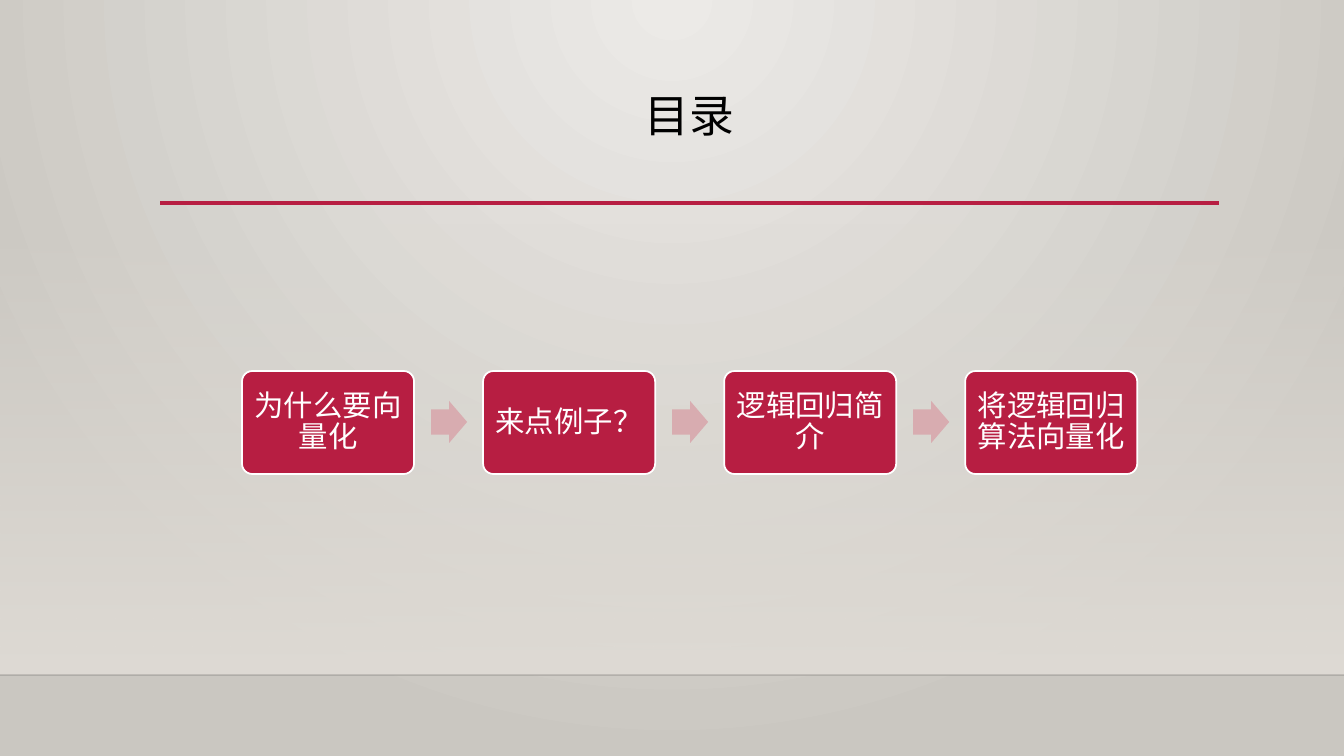
import dataclasses

import lxml.etree
import pptx
import pptx.dml.color
import pptx.enum.shapes
import pptx.enum.text
import pptx.oxml
import pptx.oxml.ns
import pptx.util

qn = pptx.oxml.ns.qn
Shape = pptx.enum.shapes.MSO_SHAPE
Align = pptx.enum.text.PP_ALIGN
Anchor = pptx.enum.text.MSO_ANCHOR


@dataclasses.dataclass(frozen=True)
class Theme:
    font: str = "Cabin"
    title_size: int = 32
    step_size: int = 21
    glow: str = "ECEAE7"
    edge: str = "CAC7C1"
    wall: str = "DFDBD5"
    floor_edge: str = "000001"
    accent: str = "B71E42"
    arrow: str = "D8ACB0"
    ink: str = "000000"
    paper: str = "FFFFFF"


def px(length):
    return pptx.util.Emu(round(length * 914400 / 100.8))


def rgb(code):
    return pptx.dml.color.RGBColor.from_string(code)


def apply(target, formats):
    for name, value in formats.items():
        setattr(target, name, value)


def set_alpha(color_element, percent):
    alpha = lxml.etree.SubElement(color_element, qn("a:alpha"))
    alpha.set("val", str(percent * 1000))


class Deck:
    def __init__(self, theme):
        self.theme = theme
        self.presentation = pptx.Presentation()
        apply(self.presentation, {
            "slide_width": pptx.util.Inches(13.33),
            "slide_height": pptx.util.Inches(7.5),
        })
        self.slide = self.presentation.slides.add_slide(
            self.presentation.slide_layouts[5])

    def gradient(self, fill, colors):
        fill.gradient()
        for stop, color, position in zip(fill.gradient_stops, colors, (0, 1)):
            stop.color.rgb = rgb(color)
            stop.position = position

    def backdrop(self):
        self.gradient(self.slide.background.fill,
                      (self.theme.glow, self.theme.edge))
        linear = next(self.slide._element.iter(qn("a:lin")))
        radial = pptx.oxml.parse_xml(
            f'<a:path {pptx.oxml.ns.nsdecls("a")} path="circle">'
            '<a:fillToRect l="43000" t="0" r="43000" b="100000"/></a:path>')
        linear.getparent().replace(linear, radial)

    def shape(self, kind, box, adjustments=()):
        shape = self.slide.shapes.add_shape(kind, *map(px, box))
        shape.shadow.inherit = False
        for index, value in enumerate(adjustments):
            shape.adjustments[index] = value
        shape.line.fill.background()
        return shape

    def solid(self, kind, box, color, adjustments=()):
        shape = self.shape(kind, box, adjustments)
        shape.fill.solid()
        shape.fill.fore_color.rgb = rgb(color)
        return shape

    def fading_wall(self, box):
        wall = self.shape(Shape.RECTANGLE, box)
        self.gradient(wall.fill, (self.theme.wall, self.theme.wall))
        wall.fill.gradient_angle = 270
        set_alpha(next(wall._element.iter(qn("a:srgbClr"))), 0)

    def rule(self, left, right, y, color, weight, opacity=100):
        rule = self.slide.shapes.add_connector(
            pptx.enum.shapes.MSO_CONNECTOR.STRAIGHT,
            px(left), px(y), px(right), px(y))
        rule.line.color.rgb = rgb(color)
        rule.line.width = pptx.util.Pt(weight)
        lxml.etree.SubElement(rule._element.spPr, qn("a:effectLst"))
        if opacity < 100:
            set_alpha(next(rule._element.iter(qn("a:srgbClr"))), opacity)

    def label(self, shape, text, size, color, frame_formats, space_after=0):
        frame = shape.text_frame
        frame.text = text
        apply(frame, {"word_wrap": True, **frame_formats})
        paragraph = frame.paragraphs[0]
        apply(paragraph, {
            "alignment": Align.CENTER,
            "line_spacing": 0.9,
            "space_before": pptx.util.Pt(0),
            "space_after": pptx.util.Pt(space_after),
        })
        font = paragraph.runs[0].font
        apply(font, {"name": self.theme.font, "size": pptx.util.Pt(size)})
        font.color.rgb = rgb(color)

    def title(self, text, box):
        heading = self.slide.shapes.title
        apply(heading, dict(zip(("left", "top", "width", "height"),
                                map(px, box))))
        self.label(heading, text, self.theme.title_size, self.theme.ink, {
            "vertical_anchor": Anchor.TOP,
            "auto_size": pptx.enum.text.MSO_AUTO_SIZE.NONE,
        })

    def step(self, text, box):
        card = self.solid(Shape.ROUNDED_RECTANGLE, box, self.theme.accent, (0.1,))
        card.line.color.rgb = rgb(self.theme.paper)
        card.line.width = pptx.util.Pt(1.25)
        margins = dict.fromkeys(
            ("margin_left", "margin_top", "margin_right", "margin_bottom"), px(9))
        self.label(card, text, self.theme.step_size, self.theme.paper,
                   {"vertical_anchor": Anchor.MIDDLE, **margins}, space_after=7)

    def arrow(self, box):
        self.solid(Shape.RIGHT_ARROW, box, self.theme.arrow, (0.6, 0.5))


def main():
    theme = Theme()
    deck = Deck(theme)
    deck.backdrop()
    deck.fading_wall((0, 223, 1344, 452))
    deck.rule(0, 1344, 675, theme.floor_edge, 1, opacity=20)
    deck.rule(160, 1219, 203, theme.accent, 2.5)
    deck.title("目录", (160, 89, 1059, 116))

    topics = ["为什么要向量化", "来点例子？", "逻辑回归简介", "将逻辑回归算法向量化"]
    first_left, pitch = 242, 241
    for index, topic in enumerate(topics):
        left = first_left + index * pitch
        deck.step(topic, (left, 371, 172, 103))
        if index < len(topics) - 1:
            deck.arrow((left + 189, 401, 36, 42))

    deck.presentation.save("out.pptx")


if __name__ == "__main__":
    main()
